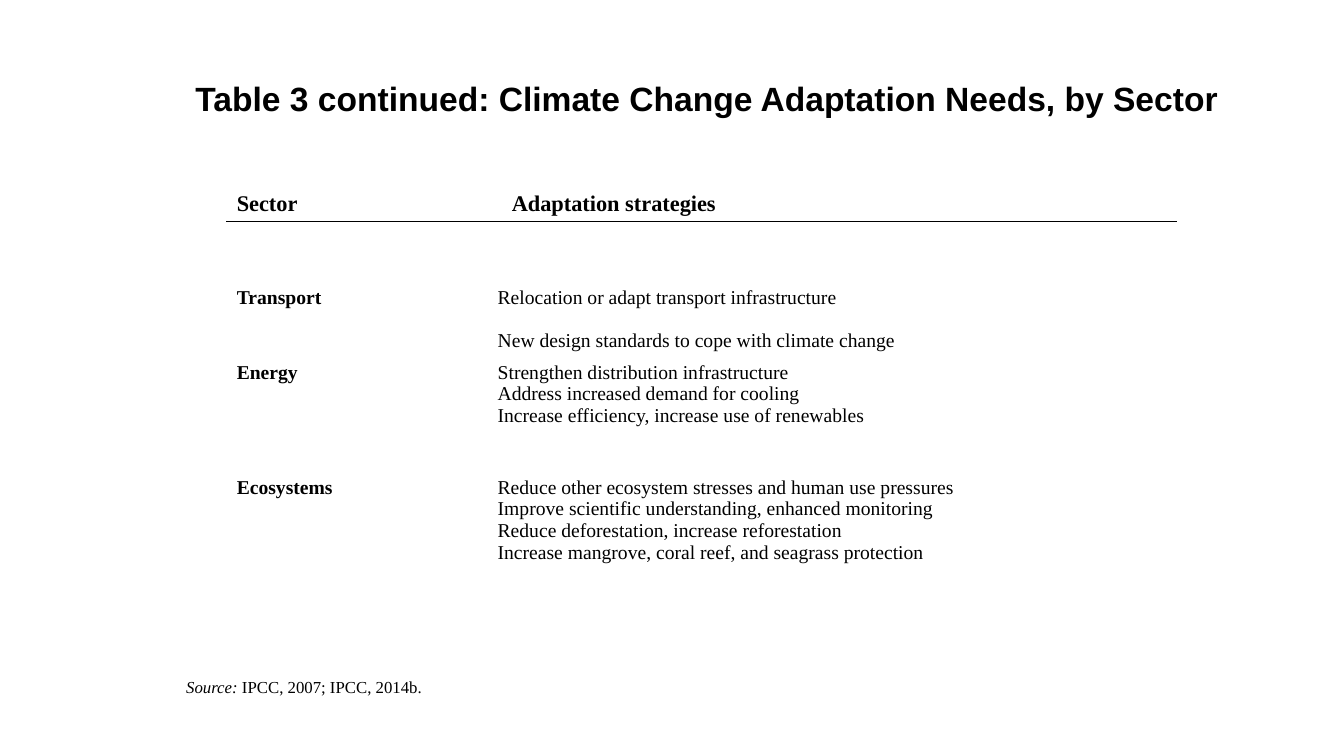
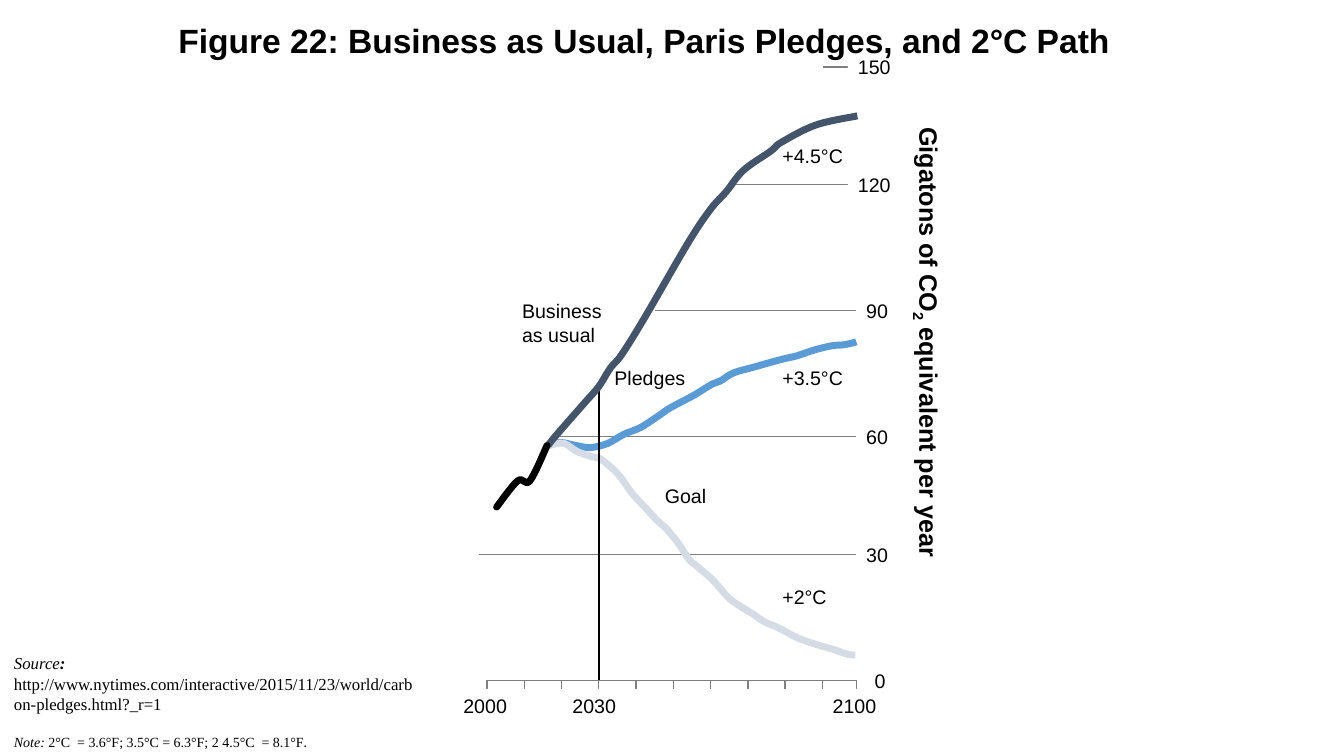
from lxml import etree
from pptx import Presentation
from pptx.dml.color import RGBColor
from pptx.enum.shapes import MSO_CONNECTOR as Link
from pptx.enum.text import MSO_ANCHOR as Anchor, MSO_AUTO_SIZE as Fit, PP_ALIGN as Align
from pptx.oxml.ns import qn
from pptx.util import Inches, Pt

HUES = {"ink": "000000", "paper": "FFFFFF", "grid": "7F7F7F",
        "usual": "44546A", "pledge": "5B9BD5", "goal": "D6DCE5"}
SANS, SERIF = "Arial", "Times New Roman"
UNIT = 1 / 12  # the figure is laid out on a grid of twelfths of an inch


def hue(name):
    return RGBColor.from_string(HUES[name])


def bend(shape):
    """Turn the straight segments of a freeform into smooth cubic ones."""
    route = next(shape.element.iter(qn("a:path")))
    knots = [(int(pt.get("x")), int(pt.get("y"))) for pt in route.iter(qn("a:pt"))]
    ends = [knots[0], *knots, knots[-1]]
    for old, a, b, c, d in zip(route.findall(qn("a:lnTo")),
                               ends, ends[1:], ends[2:], ends[3:]):
        curve = etree.Element(qn("a:cubicBezTo"))
        near = [q + (r - p) / 6 for p, q, r in zip(a, b, c)]
        far = [r - (s - q) / 6 for q, r, s in zip(b, c, d)]
        for x, y in (near, far, c):
            etree.SubElement(curve, qn("a:pt"), x=str(round(x)), y=str(round(y)))
        route.replace(old, curve)


class Deck:
    def __init__(self):
        self.show = Presentation()
        self.show.slide_width = Inches(13.34)
        self.show.slide_height = Inches(7.5)

    def page(self):
        self.slide = self.show.slides.add_slide(self.show.slide_layouts[5])
        self.shapes = self.slide.shapes

    def style(self, para, size, face=SANS, bold=False):
        font = para.font
        font.size, font.name, font.bold = Pt(size), face, bold
        font.color.rgb = hue("ink")

    def title(self, text, x, y, w, h, foot=0.05):
        """Place the title in front of all that is drawn so far."""
        shape = self.shapes.title
        shape.left, shape.top, shape.width, shape.height = map(Inches, (x, y, w, h))
        self.shapes.element.append(shape.element)
        frame = shape.text_frame
        frame.text = text
        frame.auto_size = Fit.NONE
        frame.vertical_anchor = Anchor.MIDDLE
        frame.margin_bottom = Inches(foot)
        para = frame.paragraphs[0]
        para.alignment, para.line_spacing = Align.LEFT, 0.9
        self.style(para, 24, bold=True)

    def box(self, x, y, w, h, fill=None):
        shape = self.shapes.add_textbox(*map(Inches, (x, y, w, h)))
        if fill:
            shape.fill.solid()
            shape.fill.fore_color.rgb = hue(fill)
        shape.text_frame.word_wrap = True
        shape.text_frame.auto_size = Fit.SHAPE_TO_FIT_TEXT
        return shape

    def label(self, text, col, row, cols, high=0.34, fill=None):
        """Add a figure label; col, row and cols count grid units."""
        shape = self.box(col * UNIT, row * UNIT, cols * UNIT, high, fill)
        para = shape.text_frame.paragraphs[0]
        para.text = text
        self.style(para, 14)

    def note(self, para, runs, size):
        """Fill a serif paragraph with (text, flags) runs: i italic, b bold."""
        self.style(para, size, SERIF)
        for text, flags in runs:
            run = para.add_run()
            run.text = text
            run.font.italic = "i" in flags
            run.font.bold = "b" in flags

    def grid(self, rows, x, y, cols, heights, size, anchor=Anchor.TOP):
        """Add a plain table; a row is (spacing, heading, lines)."""
        frame = self.shapes.add_table(len(rows), len(cols), *map(
            Inches, (x, y, sum(cols), sum(heights))))
        table = frame.table
        table.first_row = table.horz_banding = False
        for col, width in zip(table.columns, cols):
            col.width = Inches(width)
        for row, high, (space, head, lines) in zip(table.rows, heights, rows):
            row.height = Inches(high)
            for cell, text, bold in zip(row.cells, (head, "\n".join(lines)),
                                        (True, len(rows) == 1)):
                cell.fill.background()
                cell.vertical_anchor = anchor
                cell.text = text
                for para in cell.text_frame.paragraphs:
                    para.alignment, para.line_spacing = Align.JUSTIFY, space
                    self.style(para, size, SERIF, bold)
        return table

    def rule(self, cell, width):
        """Draw a line under a table cell."""
        props = cell._tc.get_or_add_tcPr()
        edge = etree.Element(qn("a:lnB"), w=str(Pt(width)))
        solid = etree.SubElement(edge, qn("a:solidFill"))
        etree.SubElement(solid, qn("a:srgbClr"), val=HUES["ink"])
        props.insert(0, edge)

    def line(self, x1, y1, x2, y2, color="grid", width=1):
        """Add a figure line, placed in grid units."""
        link = self.shapes.add_connector(
            Link.STRAIGHT, *(Inches(n * UNIT) for n in (x1, y1, x2, y2)))
        link.line.color.rgb, link.line.width = hue(color), Pt(width)
        etree.SubElement(link.element.spPr, qn("a:effectLst"))

    def curve(self, knots, color, cap="flat"):
        first, *rest = [tuple(map(Inches, knot)) for knot in knots]
        pen = self.shapes.build_freeform(*first)
        pen.add_line_segments(rest, close=False)
        shape = pen.convert_to_shape()
        bend(shape)
        shape.shadow.inherit = False
        shape.fill.background()
        shape.line.color.rgb, shape.line.width = hue(color), Pt(5)
        stroke = shape.element.spPr.find(qn("a:ln"))
        stroke.set("cap", cap)
        etree.SubElement(stroke, qn("a:round"))


# Knots of each emissions path, in inches on the slide
PLEDGE = [(5.43, 4.42), (5.56, 4.39), (5.72, 4.42), (5.86, 4.44), (6.03, 4.4),
          (6.19, 4.31), (6.36, 4.24), (6.53, 4.13), (6.63, 4.06), (6.72, 4.01),
          (6.89, 3.92), (7.07, 3.81), (7.15, 3.78), (7.28, 3.7), (7.49, 3.64),
          (7.63, 3.6), (7.78, 3.56), (7.91, 3.53), (8.09, 3.47), (8.26, 3.43),
          (8.38, 3.42), (8.47, 3.4), (8.5, 3.39)]
GOAL = [(5.41, 4.44), (5.49, 4.41), (5.6, 4.4), (5.73, 4.48), (5.87, 4.53),
        (5.97, 4.56), (6.14, 4.71), (6.27, 4.89), (6.4, 5.03), (6.51, 5.15),
        (6.62, 5.25), (6.67, 5.31), (6.74, 5.4), (6.84, 5.55), (6.92, 5.62),
        (7.06, 5.74), (7.16, 5.85), (7.24, 5.94), (7.34, 6.01), (7.47, 6.09),
        (7.59, 6.17), (7.73, 6.23), (7.92, 6.33), (8.09, 6.39), (8.26, 6.44),
        (8.41, 6.49), (8.49, 6.5)]
USUAL = [(5.44, 4.42), (5.52, 4.32), (5.8, 4), (5.94, 3.84), (6.06, 3.65),
         (6.17, 3.52), (6.4, 3.15), (6.83, 2.41), (7.05, 2.08), (7.21, 1.9),
         (7.38, 1.69), (7.65, 1.5), (7.76, 1.41), (8.1, 1.24), (8.51, 1.15)]
PAST = [(4.93, 5.03), (5.14, 4.77), (5.26, 4.77), (5.43, 4.42)]


def needs(deck):
    deck.page()
    deck.title("Table 3 continued: Climate Change Adaptation Needs, by Sector",
               1.84, 0.27, 11.5, 1.45)
    rows = [
        (1, "", []),
        (2, "Transport", ["Relocation or adapt transport infrastructure",
                          "New design standards to cope with climate change"]),
        (1, "Energy", ["Strengthen distribution infrastructure",
                       "Address increased demand for cooling",
                       "Increase efficiency, increase use of renewables"]),
        (1, "Ecosystems", ["Reduce other ecosystem stresses and human use pressures",
                           "Improve scientific understanding, enhanced monitoring",
                           "Reduce deforestation, increase reforestation",
                           "Increase mangrove, coral reef, and seagrass protection"]),
    ]
    deck.grid(rows, 2.25, 2.16, (2.59, 6.83), (0.42, 0.93, 1.14, 1.4), 14)
    head = deck.grid([(2, "Sector", ["Adaptation strategies"])],
                     2.25, 1.6, (2.73, 6.7), (0.53,), 16, Anchor.MIDDLE)
    for cell in head.iter_cells():
        cell.text_frame.paragraphs[0].space_after = Pt(10)
        deck.rule(cell, 0.45)
    deck.note(deck.box(1.75, 6.66, 2.74, 0.3).text_frame.paragraphs[0],
              [("Source: ", "i"), ("IPCC, 2007; IPCC, 2014b.", "")], 12)


def paths(deck):
    deck.page()
    base, left, right = 81, 58, 102
    levels = [("150", 8, 98, 101, 101, 8),
              ("120", 22, 87, 101, 101, 8),
              ("90", 37, 78, right, 102, 6),
              ("60", 52, 66, right, 102, 6),
              ("30", 66, 57, right, 102, 6),
              ("0", base, left, right, 103, 4)]
    for text, y, start, end, x, cols in levels:
        deck.line(start, y, end, y)
        deck.label(text, x, y - 2, cols, fill="paper")
    for tick in range(11):
        x = min(left + tick * 4.44, right)
        deck.line(x, base + 1, x, base)
    for year, x in (("2000", 54), ("2030", 67), ("2100", 98)):
        deck.label(year, x, base + 1, 8, fill="paper")

    deck.label("Business as usual", 61, 35, 12, 0.57, "paper")
    deck.label("Pledges", 72, 43, 14, fill="paper")
    deck.label("Goal", 78, 57, 14)
    for text, y in (("+4.5°C", 16.5), ("+3.5°C", 43), ("+2°C", 69)):
        deck.label(text, 92, y, 14)

    axis = deck.box(6.54, 3.61, 5.33, 0.44)
    axis.rotation = 90
    para = axis.text_frame.paragraphs[0]
    deck.style(para, 18, bold=True)
    for text, drop in (("Gigatons of CO", 0), ("2", -25000),
                       (" equivalent per year", 0)):
        run = para.add_run()
        run.text = text
        run._r.get_or_add_rPr().set("baseline", str(drop))

    deck.curve(PLEDGE, "pledge")
    deck.curve(GOAL, "goal")
    deck.line(71.33, 46, 71.33, base, "ink", 1.5)
    deck.curve(USUAL, "usual")
    deck.curve(PAST, "ink", "rnd")
    deck.title("Figure 22: Business as Usual, Paris Pledges, and 2°C Path",
               1.67, 0, 9.92, 1.25, foot=0.45)

    frame = deck.box(0.04, 6.43, 4.22, 1.24).text_frame
    deck.note(frame.paragraphs[0], [
        ("Source", "i"), (": ", "bi"),
        ("http://www.nytimes.com/interactive/2015/11/23/world/"
         "carbon-pledges.html?_r=1", "")], 12)
    para = frame.add_paragraph()
    para.space_before = Pt(14)
    deck.note(para, [("Note: ", "i"),
                     ("2°C  = 3.6°F; 3.5°C = 6.3°F; 2 4.5°C  = 8.1°F", ""),
                     (".", "")], 10)
    para.runs[-1].font.name = "Calibri"


def main():
    deck = Deck()
    needs(deck)
    paths(deck)
    deck.show.save("out.pptx")


if __name__ == "__main__":
    main()
